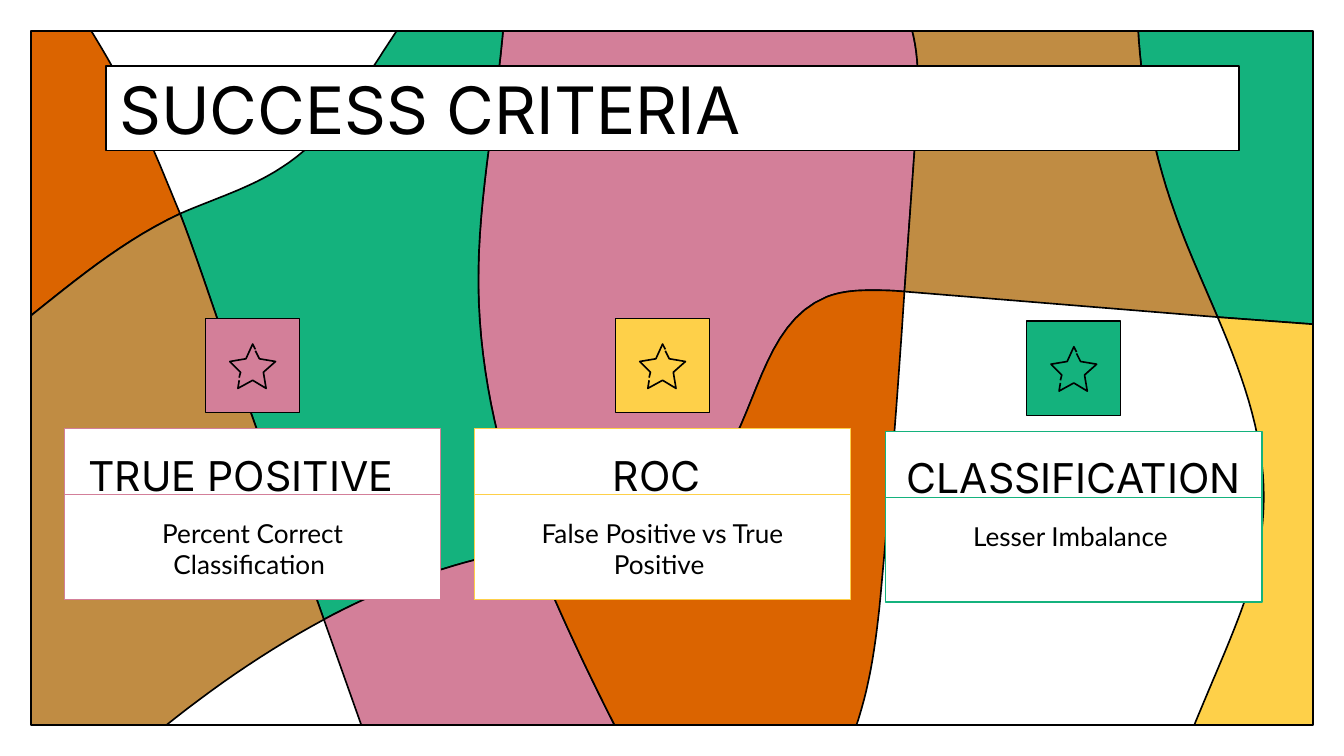
"""Build the "Success criteria" slide: three cards over a mosaic of curved regions."""
from typing import NamedTuple, Optional

from pptx import Presentation
from pptx.dml.color import RGBColor
from pptx.enum.shapes import MSO_SHAPE as Shape
from pptx.enum.text import MSO_ANCHOR as Anchor, PP_ALIGN as Align
from pptx.shapes.autoshape import Shape as AutoShape
from pptx.slide import Slide
from pptx.util import Inches, Pt

Point = tuple[float, float]
Path = list[Point]

BLACK = RGBColor(0x00, 0x00, 0x00)
WHITE = RGBColor(0xFF, 0xFF, 0xFF)
PINK = RGBColor(0xD3, 0x7F, 0x99)
GREEN = RGBColor(0x14, 0xB2, 0x7D)
ORANGE = RGBColor(0xDB, 0x64, 0x00)
BROWN = RGBColor(0xC0, 0x8C, 0x43)
YELLOW = RGBColor(0xFE, 0xD0, 0x49)

WIDTH, MARGIN = 10, 0.23
HEIGHT = WIDTH * 9 / 16
CARD_WIDTH, HEAD_HEIGHT, BODY_HEIGHT, TILE = 2.8, 0.49, 0.78, 0.7
STAR_STROKES: list[Path] = [
    [(.37, .24), (.40, .30), (.52, .32), (.43, .40), (.45, .52), (.35, .46), (.24, .52), (.25, .46)],
    [(.25, .44), (.26, .40), (.18, .32), (.30, .30), (.35, .19), (.37, .23)],
]


class Region(NamedTuple):
    color: RGBColor
    edges: list[Path]


class Card(NamedTuple):
    left: float
    top: float
    color: RGBColor
    heading: str
    body: str
    nudge: float = 0


class Label(NamedTuple):
    text: str
    font: str
    size: float
    insets: tuple[float, float, float, float]
    align: Align = Align.CENTER
    anchor: Anchor = Anchor.TOP


def curve(*pts: Point, steps: int = 16) -> Path:
    """Sample a chain of cubic Béziers."""
    out = [pts[0]]
    for i in range(0, len(pts) - 1, 3):
        for k in range(1, steps + 1):
            t = k / steps
            weights = ((1 - t) ** 3, 3 * t * (1 - t) ** 2, 3 * t * t * (1 - t), t ** 3)
            out.append((sum(w * p[0] for w, p in zip(weights, pts[i:i + 4])),
                        sum(w * p[1] for w, p in zip(weights, pts[i:i + 4]))))
    return out


def style(sp: AutoShape, fill: Optional[RGBColor], line: Optional[RGBColor], width: float) -> None:
    """Set fill and outline, without shadow."""
    sp.shadow.inherit = False
    if fill is None:
        sp.fill.background()
    else:
        sp.fill.solid()
        sp.fill.fore_color.rgb = fill
    if line is None:
        sp.line.fill.background()
    else:
        sp.line.color.rgb = line
        sp.line.width = Pt(width)


def add_outline(s: Slide, pts: Path, fill: Optional[RGBColor] = None) -> None:
    """Draw a closed filled outline, or an open stroke when there is no fill."""
    emu = [(Inches(x), Inches(y)) for x, y in pts]
    builder = s.shapes.build_freeform(*emu[0])
    builder.add_line_segments(emu[1:], close=fill is not None)
    style(builder.convert_to_shape(), fill, BLACK, 0.88)


def add_box(s: Slide, x: float, y: float, w: float, h: float, fill: Optional[RGBColor],
            line: Optional[RGBColor], width: float = 0.75, kind: Shape = Shape.RECTANGLE) -> AutoShape:
    """Draw a preset shape."""
    sp = s.shapes.add_shape(kind, Inches(x), Inches(y), Inches(w), Inches(h))
    style(sp, fill, line, width)
    return sp


def add_label(sp: AutoShape, label: Label) -> None:
    """Write one paragraph into a shape."""
    tf = sp.text_frame
    tf.word_wrap = True
    tf.vertical_anchor = label.anchor
    tf.margin_left, tf.margin_top, tf.margin_right, tf.margin_bottom = map(Inches, label.insets)
    p = tf.paragraphs[0]
    p.alignment = label.align
    r = p.add_run()
    r.text = label.text
    r.font.name = label.font
    r.font.size = Pt(label.size)
    r.font.color.rgb = BLACK


def add_card(s: Slide, card: Card) -> None:
    """Draw the icon tile, heading and body of a card."""
    x, y = card.left + (CARD_WIDTH - TILE) / 2, card.top - 0.82
    add_box(s, x, y, TILE, TILE, card.color, BLACK)
    head = add_box(s, card.left, card.top, CARD_WIDTH, HEAD_HEIGHT, WHITE, card.color)
    add_label(head, Label(card.heading, "Inter", 22, (0.1, 0.16, 0.1 + card.nudge, 0.1)))
    body = add_box(s, card.left, card.top + HEAD_HEIGHT, CARD_WIDTH, BODY_HEIGHT, WHITE, card.color)
    add_label(body, Label(card.body, "Lato", 14, (0.22, 0.17, 0.22, 0.1)))
    for stroke in STAR_STROKES:
        add_outline(s, [(x + dx, y + dy) for dx, dy in stroke])


def mosaic() -> list[Region]:
    """Return the coloured regions, built from the edges they share."""
    left_top = curve((.53, 0), (.72, .28), (.89, .58), (1.04, .89), (1.15, 1.12), (1.24, 1.35), (1.34, 1.59))
    left_low = curve((1.34, 1.59), (1.44, 1.85), (1.53, 2.12), (1.62, 2.38), (1.89, 3.13), (2.15, 3.87), (2.41, 4.61))
    arch_left = curve((0, 2.53), (.43, 2.2), (.83, 1.83), (1.34, 1.59))
    arch_right = curve((1.34, 1.59), (1.59, 1.48), (1.86, 1.4), (2.09, 1.25), (2.42, 1.04),
                       (2.65, .7), (2.86, .37), (2.94, .25), (3.02, .12), (3.11, 0))
    hill_left = curve((.96, HEIGHT), (1.41, 5.24), (1.89, 4.89), (2.41, 4.61))
    hill_right = curve((2.41, 4.61), (2.82, 4.39), (3.26, 4.22), (3.73, 4.12), (3.81, 4.11), (3.89, 4.09), (3.97, 4.08))
    mid_top = curve((3.76, 0), (3.72, .72), (3.55, 1.43), (3.56, 2.14), (3.57, 2.81), (3.73, 3.45), (3.97, 4.08))
    mid_low = curve((3.97, 4.08), (4.18, 4.61), (4.43, 5.12), (4.69, HEIGHT))
    wave = curve((3.97, 4.08), (4.47, 3.99), (5, 3.9), (5.31, 3.52), (5.64, 3.1), (5.66, 2.41), (6.15, 2.21),
                 (6.25, 2.17), (6.36, 2.16), (6.48, 2.16), (6.55, 2.16), (6.63, 2.16), (6.73, 2.17))
    right_top = curve((6.7, 0), (6.85, .28), (6.84, .6), (6.82, .91), (6.79, 1.33), (6.76, 1.75), (6.73, 2.17))
    right_low = curve((6.73, 2.17), (6.68, 2.94), (6.62, 3.7), (6.55, 4.46), (6.51, 4.86), (6.45, 5.27), (6.28, HEIGHT))
    far_top = curve((8.46, 0), (8.47, .54), (8.56, 1.08), (8.74, 1.58), (8.83, 1.84), (8.95, 2.1), (9.06, 2.36))
    far_low = curve((9.06, 2.36), (9.26, 2.83), (9.43, 3.31), (9.4, 3.81), (9.38, 4.22), (9.22, 4.6),
                    (9.06, 4.98), (8.97, 5.19), (8.88, 5.41), (8.79, HEIGHT))
    return [
        Region(PINK, [mid_top, wave, right_top[::-1]]),
        Region(GREEN, [far_top, [(WIDTH, 2.43), (WIDTH, 0)]]),
        Region(GREEN, [left_low, hill_right, mid_top[::-1], arch_right[::-1]]),
        Region(ORANGE, [arch_left, left_top[::-1], [(0, 0)]]),
        Region(BROWN, [right_top, far_top[::-1]]),
        Region(YELLOW, [far_low, [(WIDTH, HEIGHT), (WIDTH, 2.43)]]),
        Region(BROWN, [arch_left, left_low, hill_left[::-1], [(0, HEIGHT)]]),
        Region(PINK, [hill_right, mid_low, [(2.77, HEIGHT)]]),
        Region(ORANGE, [wave, right_low, mid_low[::-1]]),
    ]


def main() -> None:
    """Build and save the slide."""
    prs = Presentation()
    prs.slide_width, prs.slide_height = Inches(WIDTH), Inches(HEIGHT)
    s = prs.slides.add_slide(prs.slide_layouts[6])
    for region in mosaic():
        add_outline(s, [pt for edge in region.edges for pt in edge], region.color)
    frame = add_box(s, 0, 0, WIDTH, HEIGHT, WHITE, None, kind=Shape.FRAME)
    frame.adjustments[0] = MARGIN / HEIGHT
    add_box(s, MARGIN, MARGIN, WIDTH - 2 * MARGIN, HEIGHT - 2 * MARGIN, None, BLACK, 0.88)
    title = add_box(s, 0.79, 0.49, 8.43, 0.63, WHITE, BLACK)
    add_label(title, Label("SUCCESS CRITERIA", "Inter", 35, (0.1,) * 4, Align.LEFT, Anchor.MIDDLE))
    for card in (
        Card(0.48, 3.19, PINK, "TRUE POSITIVE ", "Percent Correct Classification ", 0.09),
        Card(3.53, 3.19, YELLOW, "ROC ", "False Positive vs True Positive "),
        Card(6.59, 3.21, GREEN, "CLASSIFICATION", "Lesser Imbalance "),
    ):
        add_card(s, card)
    prs.save("out.pptx")


if __name__ == "__main__":
    main()
